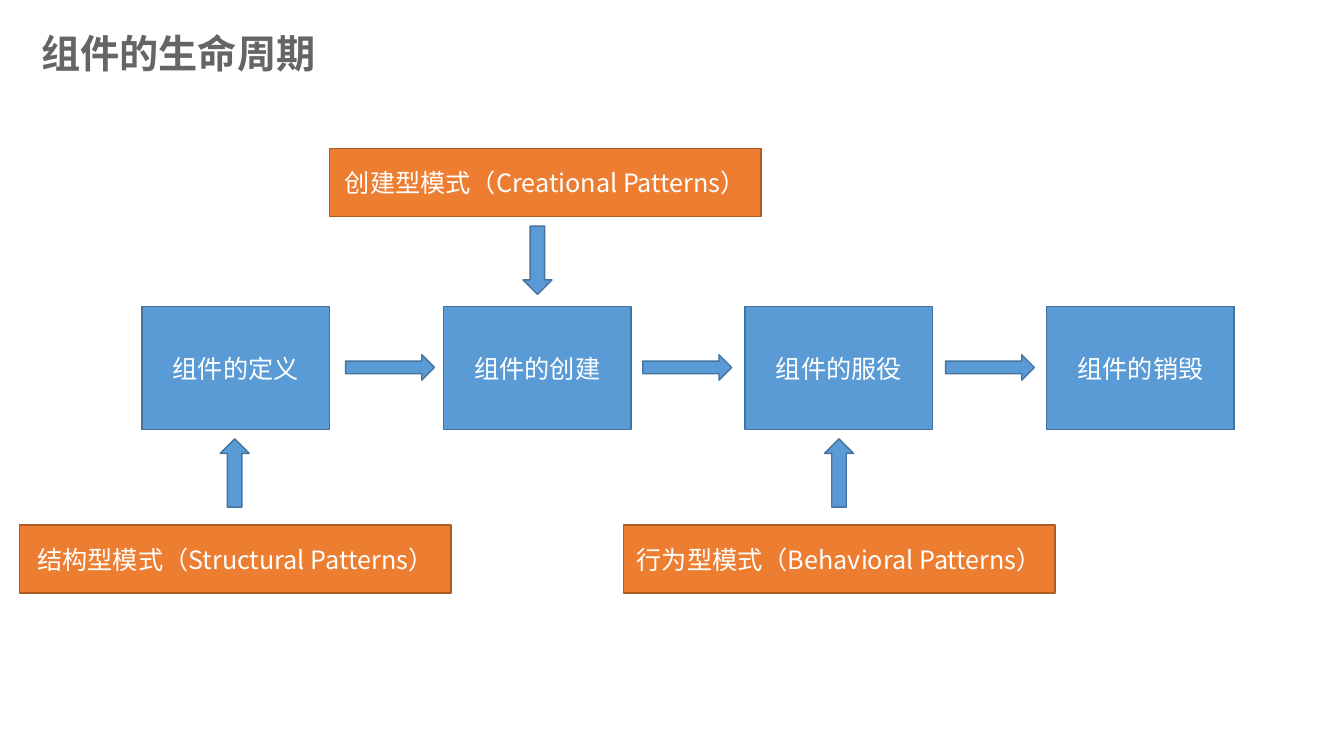
from dataclasses import dataclass

from lxml import etree
from pptx import Presentation
from pptx.dml.color import RGBColor
from pptx.enum.shapes import MSO_SHAPE as Shape
from pptx.enum.text import MSO_ANCHOR as Anchor, PP_ALIGN as Align
from pptx.oxml.ns import qn
from pptx.util import Cm, Pt


@dataclass(frozen=True)
class Theme:
    font: str = "Noto Sans CJK SC"
    title_size: int = 28
    body_size: int = 18
    title: str = "656565"
    text: str = "FFFFFF"
    blue: tuple = ("5B9BD5", "43739E")    # fill, line
    orange: tuple = ("ED7D31", "AF5C24")


theme = Theme()


def write_text(shape, text, size, color, align, bold=False):
    frame = shape.text_frame
    frame.word_wrap = True
    frame.vertical_anchor = Anchor.MIDDLE
    paragraph = frame.paragraphs[0]
    paragraph.text = text
    paragraph.alignment = align
    font = paragraph.font
    font.name, font.size, font.bold = theme.font, Pt(size), bold
    font.color.rgb = RGBColor.from_string(color)
    # Chinese characters take the East Asian typeface
    properties = paragraph._p.pPr.find(qn("a:defRPr"))
    etree.SubElement(properties, qn("a:ea"), typeface=theme.font)
    return paragraph


def add_block(kind, left, top, width, height, colors, text=""):
    """Add a filled, outlined shape; lengths are centimetres."""
    shape = slide.shapes.add_shape(kind, Cm(left), Cm(top), Cm(width), Cm(height))
    shape.shadow.inherit = False
    fill, line = colors
    shape.fill.solid()
    shape.fill.fore_color.rgb = RGBColor.from_string(fill)
    shape.line.color.rgb = RGBColor.from_string(line)
    shape.line.width = Pt(1)
    if text:
        write_text(shape, text, theme.body_size, theme.text, Align.CENTER)


presentation = Presentation()
presentation.slide_width, presentation.slide_height = Cm(33.87), Cm(19.05)
slide = presentation.slides.add_slide(presentation.slide_layouts[5])

# Title
title = slide.shapes.title
title.left, title.top, title.width, title.height = Cm(0.79), Cm(-0.43), Cm(29.21), Cm(3.68)
heading = write_text(title, "组件的生命周期", theme.title_size, theme.title, Align.LEFT, bold=True)
heading.line_spacing = 0.9

# Life cycle stages, evenly spaced
stages = ["组件的定义", "组件的创建", "组件的服役", "组件的销毁"]
for index, stage in enumerate(stages):
    add_block(Shape.RECTANGLE, 3.58 + 7.6 * index, 7.72, 4.72, 3.11, theme.blue, stage)

for left in (8.71, 16.2, 23.83):
    add_block(Shape.RIGHT_ARROW, left, 8.94, 2.24, 0.64, theme.blue)

# Pattern families, each with an arrow to its stage:
# text, box left, box top, arrow kind, arrow left, arrow top
patterns = [
    ("创建型模式（Creational Patterns）", 8.31, 3.74, Shape.DOWN_ARROW, 13.18, 5.7),
    ("结构型模式（Structural Patterns）", 0.5, 13.23, Shape.UP_ARROW, 5.55, 11.06),
    ("行为型模式（Behavioral Patterns）", 15.72, 13.23, Shape.UP_ARROW, 20.78, 11.06),
]
for text, box_left, box_top, arrow, arrow_left, arrow_top in patterns:
    add_block(Shape.RECTANGLE, box_left, box_top, 10.87, 1.71, theme.orange, text)
    add_block(arrow, arrow_left, arrow_top, 0.73, 1.72, theme.blue)

presentation.save("out.pptx")
